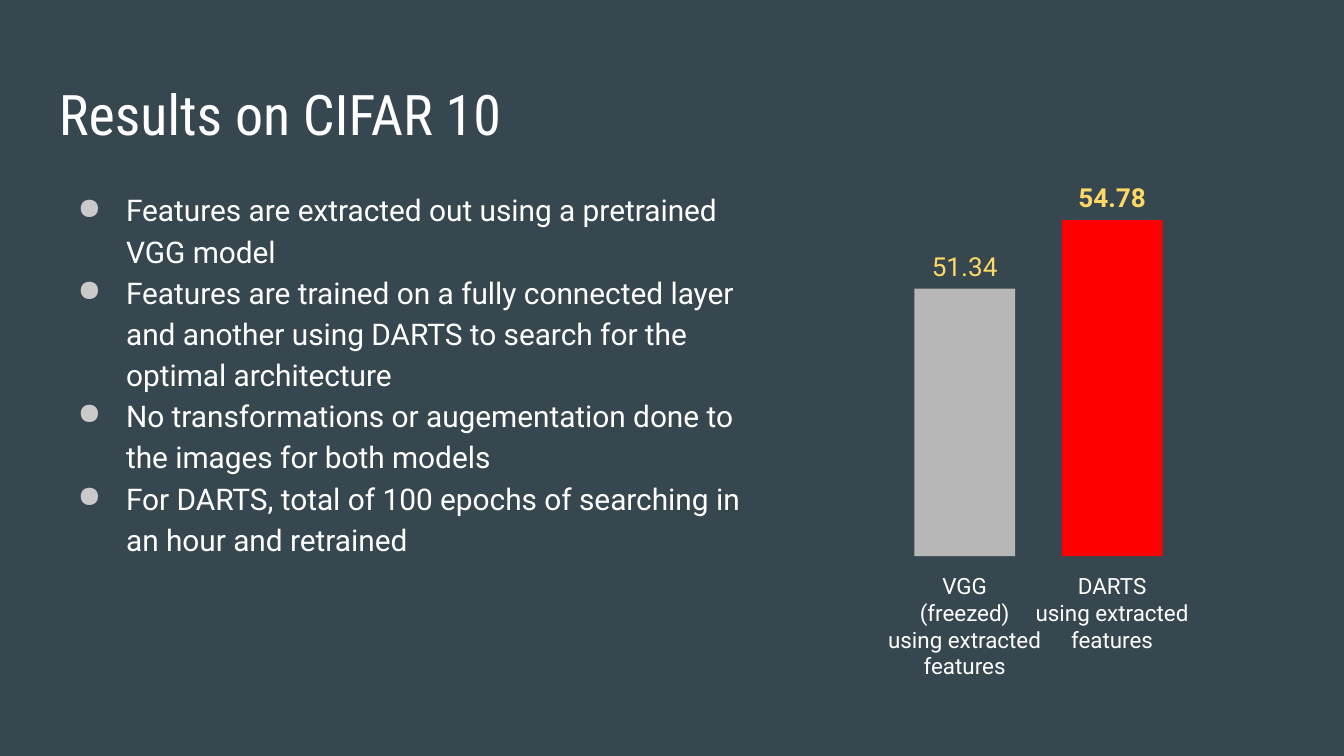
from lxml.etree import SubElement as Sub
from pptx import Presentation
from pptx.dml.color import RGBColor as Rgb
from pptx.enum.shapes import MSO_SHAPE as Kind
from pptx.enum.text import MSO_ANCHOR as Anchor, PP_ALIGN as Align
from pptx.oxml.ns import qn
from pptx.util import Pt

HUE = {"back": "37474F", "text": "FFFFFF", "dot": "CACACA",
       "value": "FFD966", "base": "B7B7B7", "best": "FF0000"}
POINTS = [
    "Features are extracted out using a pretrained VGG model",
    "Features are trained on a fully connected layer and another using DARTS "
    "to search for the optimal architecture",
    "No transformations or augementation done to the images for both models",
    "For DARTS, total of 100 epochs of searching in an hour and retrained",
]
BARS = [
    ("51.34", 143.3, "base", False, 25,
     ["VGG", "(freezed)\vusing extracted features"]),
    ("54.78", 180, "best", True, 17.8,
     ["DARTS", "using extracted features"]),
]


def paint(fill, hue):
    fill.solid()
    fill.fore_color.rgb = Rgb.from_string(HUE[hue])


def write(slide, box, lines, size, hue="text", face="Roboto", bold=False,
          mid=False):
    frame = slide.shapes.add_textbox(*map(Pt, box)).text_frame
    form = {"word_wrap": True,
            "vertical_anchor": Anchor.MIDDLE if mid else Anchor.TOP}
    form.update({f"margin_{side}": Pt(7.2)
                 for side in ("left", "top", "right", "bottom")})
    for key, val in form.items():
        setattr(frame, key, val)
    frame.text = "\n".join(lines)
    for para in frame.paragraphs:
        para.alignment = Align.CENTER if mid else Align.LEFT
        for run in para.runs:
            for key, val in {"size": Pt(size), "name": face,
                             "bold": bold}.items():
                setattr(run.font, key, val)
            run.font.color.rgb = Rgb.from_string(HUE[hue])
    return frame


def add_title(slide, box):
    write(slide, box, ["Results on CIFAR 10"], 30, face="Roboto Condensed")


def add_list(slide, box):
    for para in write(slide, box, POINTS, 16).paragraphs:
        para.line_spacing = 1.15
        prop = para._p.get_or_add_pPr()
        prop.set("marL", str(Pt(36)))
        prop.set("indent", str(Pt(-26)))
        Sub(Sub(prop, qn("a:buClr")), qn("a:srgbClr"), val=HUE["dot"])
        Sub(prop, qn("a:buChar"), char="●")


def add_bars(slide, box):
    left, top, wide, high = box
    base, bar, line, label = top + high, 54, 24.5, 97.2
    step = wide - bar
    for i, (value, tall, hue, bold, drop, name) in enumerate(BARS):
        x, y = left + i * step, base - tall
        rect = slide.shapes.add_shape(Kind.RECTANGLE,
                                      *map(Pt, (x, y, bar, tall)))
        rect.shadow.inherit = False
        rect.line.fill.background()
        paint(rect.fill, hue)
        write(slide, (x, y - line, bar, line), [value], 14, "value",
              bold=bold, mid=True)
        write(slide, (x + (bar - label) / 2, base + drop, label, line),
              name, 12, mid=True)


def main():
    deck = Presentation()
    deck.slide_width, deck.slide_height = Pt(720), Pt(405)
    slide = deck.slides.add_slide(deck.slide_layouts[6])
    paint(slide.background.fill, "back")
    add_title(slide, (24.5, 35.3, 552.2, 45.4))
    add_list(slide, (24.5, 92.9, 385.9, 269.3))
    add_bars(slide, (489.8, 118, 133, 180))
    deck.save("out.pptx")


if __name__ == "__main__":
    main()
